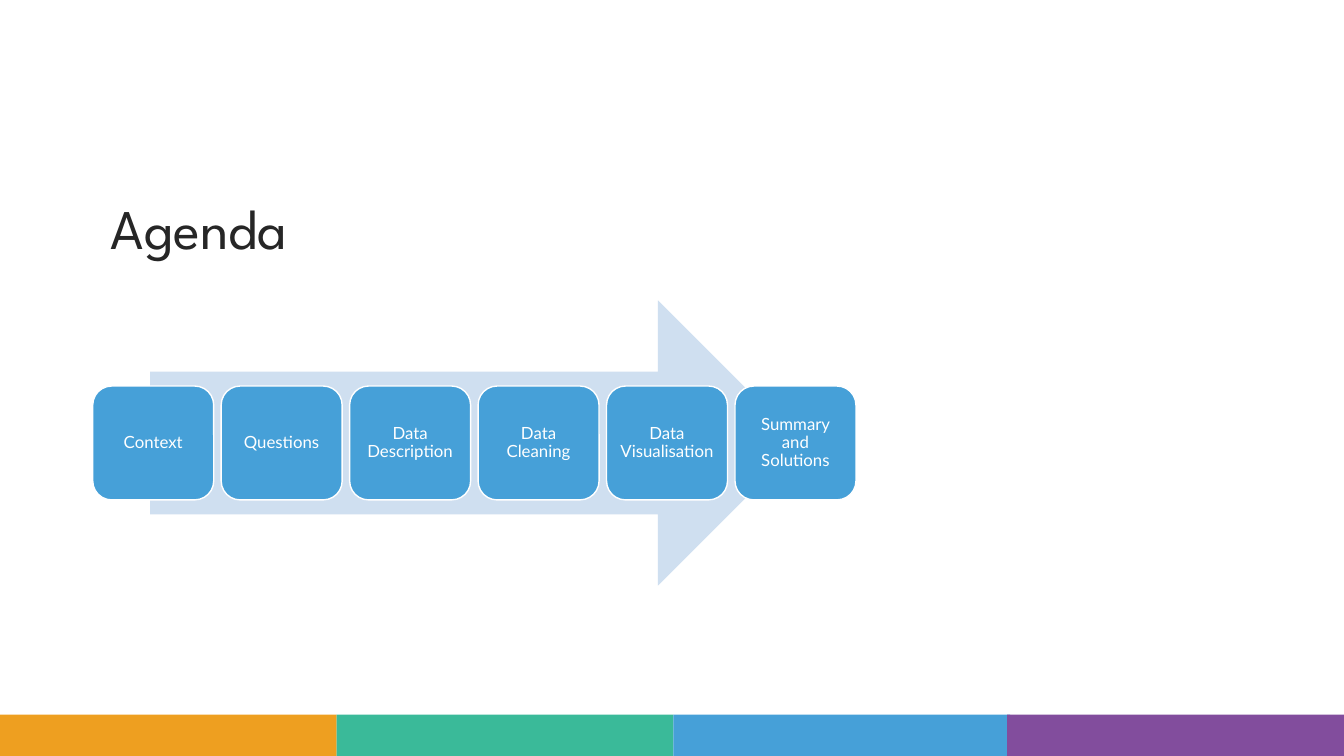
"""Build the agenda slide: a title, six steps on an arrow and a coloured footer band."""
from dataclasses import dataclass

from pptx import Presentation
from pptx.dml.color import RGBColor
from pptx.enum.shapes import MSO_SHAPE
from pptx.enum.text import MSO_ANCHOR, PP_ALIGN
from pptx.util import Inches, Pt


@dataclass(frozen=True)
class Theme:
    """Colours, fonts and type sizes of the slide."""
    footer: tuple = ("EE9F20", "3ABA99", "46A0D8", "824D9D")
    step: str = "46A0D8"
    arrow: str = "CFDFF0"
    white: str = "FFFFFF"
    ink: str = "262626"
    title_font: str = "League Spartan"
    body_font: str = "Lato"
    title_size: int = 40
    step_size: int = 12


theme = Theme()
presentation = Presentation()
presentation.slide_width = Inches(13.33)
presentation.slide_height = Inches(7.5)
slide = presentation.slides.add_slide(presentation.slide_layouts[6])


def add_block(preset, left, top, width, height, color):
    """Add a plain filled shape without outline or shadow."""
    block = slide.shapes.add_shape(
        preset, Inches(left), Inches(top), Inches(width), Inches(height))
    block.shadow.inherit = False
    block.fill.solid()
    block.fill.fore_color.rgb = RGBColor.from_string(color)
    block.line.fill.background()
    return block


def write(holder, text, font, size, color, align):
    """Put one formatted, vertically centred paragraph into a shape."""
    frame = holder.text_frame
    frame.word_wrap = True
    frame.vertical_anchor = MSO_ANCHOR.MIDDLE
    frame.text = text
    paragraph = frame.paragraphs[0]
    paragraph.alignment = align
    paragraph.line_spacing = 0.9
    run = paragraph.runs[0]
    run.font.name = font
    run.font.size = Pt(size)
    run.font.color.rgb = RGBColor.from_string(color)


footer_lefts = (0, 3.34, 6.68, 9.99)
for left, color in zip(footer_lefts, theme.footer):
    add_block(MSO_SHAPE.RECTANGLE, left, 7.09, 3.34, 0.41, color)

title = slide.shapes.add_textbox(Inches(1), Inches(1.77), Inches(7.58), Inches(1.06))
write(title, "Agenda", theme.title_font, theme.title_size, theme.ink, PP_ALIGN.LEFT)

add_block(MSO_SHAPE.RIGHT_ARROW, 1.49, 2.98, 6.45, 2.83, theme.arrow)

first_left, last_left = 0.92, 7.29
steps = ("Context", "Questions", "Data Description", "Data Cleaning",
         "Data Visualisation", "Summary and Solutions")
pitch = (last_left - first_left) / (len(steps) - 1)
for index, label in enumerate(steps):
    step = add_block(MSO_SHAPE.ROUNDED_RECTANGLE, first_left + index * pitch,
                     3.83, 1.2, 1.13, theme.step)
    step.line.color.rgb = RGBColor.from_string(theme.white)
    step.line.width = Pt(1)
    frame = step.text_frame
    frame.margin_left = frame.margin_right = Inches(0.05)
    frame.margin_top = frame.margin_bottom = Inches(0.05)
    write(step, label, theme.body_font, theme.step_size, theme.white, PP_ALIGN.CENTER)

presentation.save("out.pptx")
